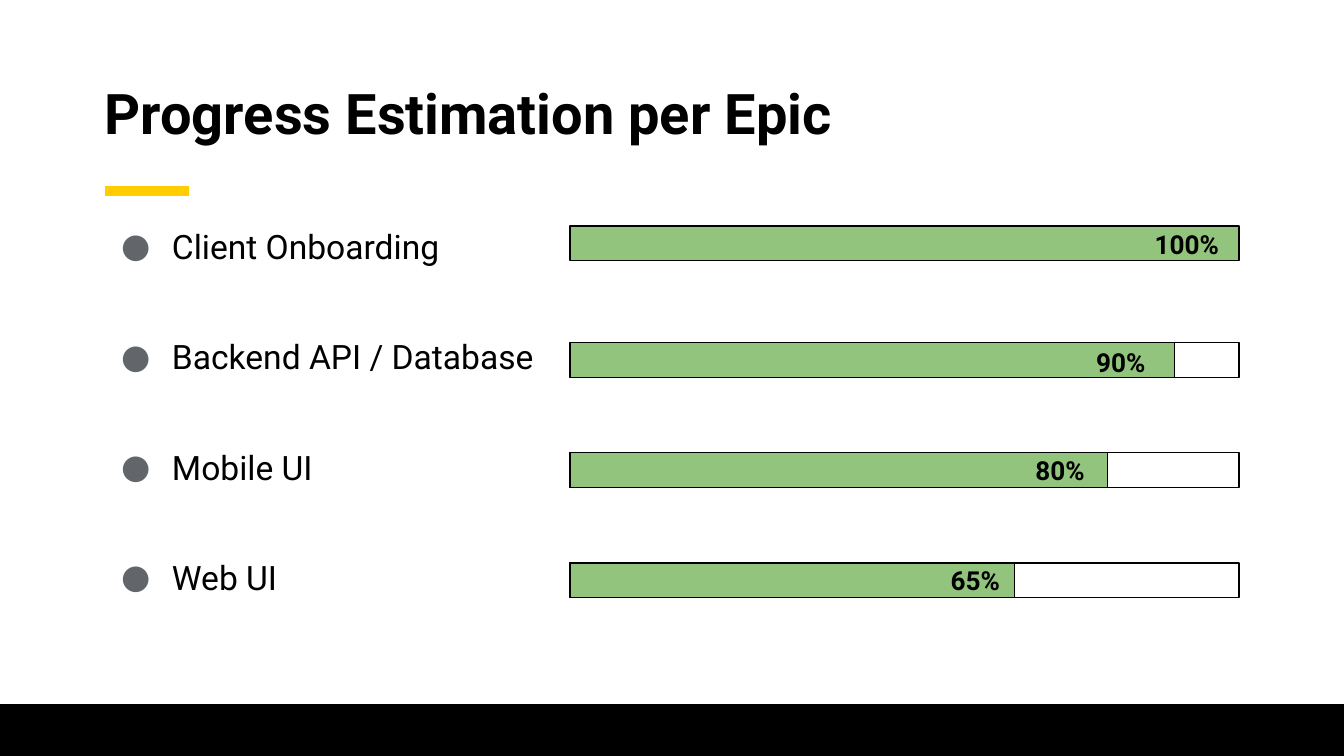
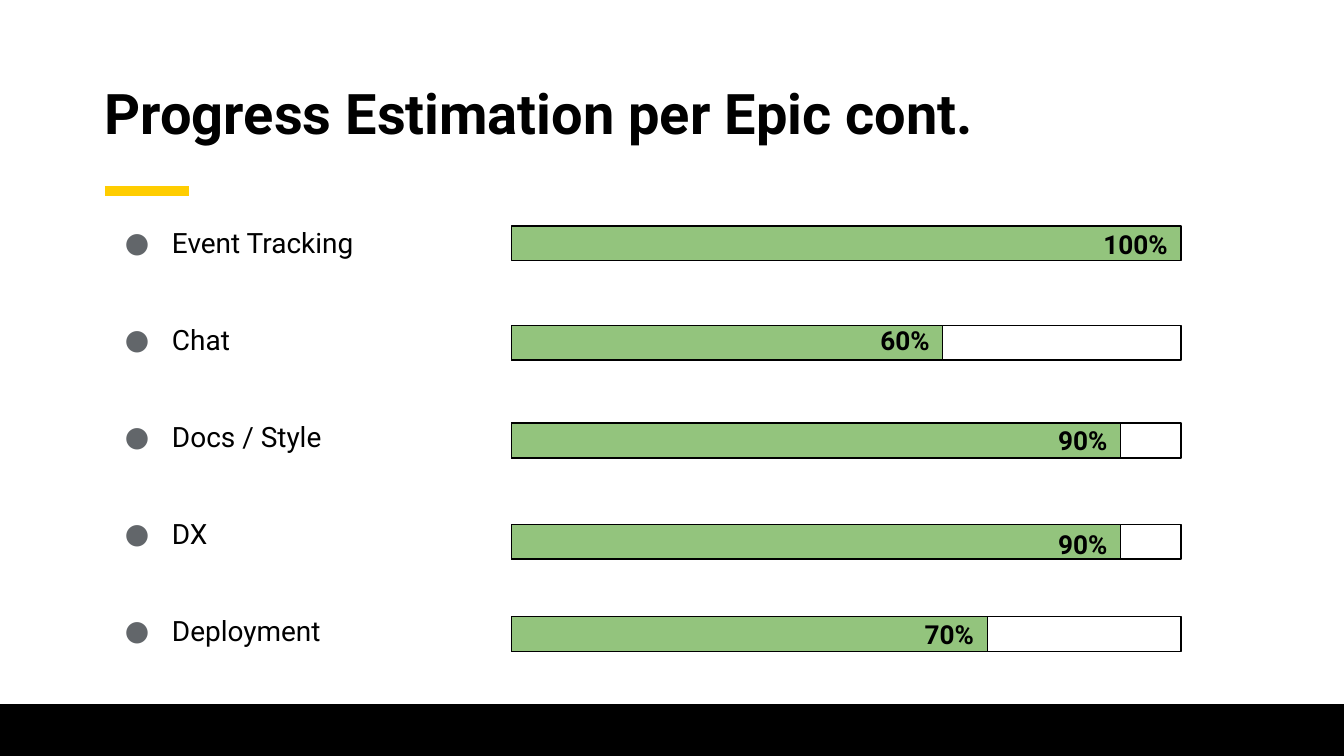
from typing import NamedTuple

from lxml import etree
from pptx import Presentation
from pptx import util as u
from pptx.dml.color import RGBColor
from pptx.enum import shapes, text
from pptx.oxml.ns import qn

BLACK = RGBColor(0x00, 0x00, 0x00)
WHITE = RGBColor(0xFF, 0xFF, 0xFF)
YELLOW = RGBColor(0xFF, 0xCD, 0x00)
GREEN = RGBColor(0x93, 0xC4, 0x7D)
GREY = RGBColor(0x62, 0x66, 0x6A)

FONT = "Roboto"
TITLE_FONT = {"name": FONT, "size": u.Pt(30), "bold": True}
LABEL_FONT = {"name": FONT, "size": u.Pt(14), "bold": True}
PLAIN_FRAME = {"margin_left": 0, "margin_top": 0, "margin_right": 0,
               "margin_bottom": 0, "word_wrap": True,
               "auto_size": text.MSO_AUTO_SIZE.NONE}
LABEL_FRAME = {side: u.Cm(0.25) for side in
               ("margin_left", "margin_top", "margin_right", "margin_bottom")}
LABEL_FRAME["word_wrap"] = True

# Lengths in centimetres
PAGE_WIDTH, PAGE_HEIGHT = 25.4, 14.29
LEFT, CONTENT_WIDTH = 1.98, 21.44
BAND_TOP = 13.31
TRACK_WIDTH, BAR_HEIGHT = 12.65, 0.66
LABEL_HEIGHT = 0.86


class Epic(NamedTuple):
    name: str
    percent: int
    top: float
    done: float            # length of the green part
    lift: float            # label top above the bar top
    gap: float = 0         # label right edge to the end of the green part
    label_width: float = 2.54


FIRST_EPICS = [
    Epic("Client Onboarding", 100, 4.27, TRACK_WIDTH, 0.21, 0.13),
    Epic("Backend API / Database", 90, 6.48, 11.43, 0.18, 0.3),
    Epic("Mobile UI", 80, 8.56, 10.16, 0.23, 0.18),
    Epic("Web UI", 65, 10.64, 8.41, 0.23, 0.03),
]
MORE_EPICS = [
    Epic("Event Tracking", 100, 4.27, TRACK_WIDTH, 0.21),
    Epic("Chat", 60, 6.15, 8.15, 0.26),
    Epic("Docs / Style", 90, 8.0, 11.51, 0.23),
    Epic("DX", 90, 9.91, 11.51, 0.18),
    Epic("Deployment", 70, 11.66, 8.99, 0.23, label_width=1.9),
]


def apply(target, values):
    for name, value in values.items():
        setattr(target, name, value)


def format_font(font, values):
    apply(font, values)
    font.color.rgb = BLACK


def place(shape, left, top, width, height):
    apply(shape, {"left": u.Cm(left), "top": u.Cm(top),
                  "width": u.Cm(width), "height": u.Cm(height)})


def add_rectangle(page, left, top, width, height, fill, outlined=True):
    box = page.shapes.add_shape(shapes.MSO_SHAPE.RECTANGLE, u.Cm(left),
                                u.Cm(top), u.Cm(width), u.Cm(height))
    box.shadow.inherit = False
    box.fill.solid()
    box.fill.fore_color.rgb = fill
    if outlined:
        box.line.color.rgb = BLACK
        box.line.width = u.Pt(0.75)
    else:
        box.line.fill.background()


def add_accent(page):
    accent = page.shapes.add_connector(
        shapes.MSO_CONNECTOR.STRAIGHT,
        u.Cm(LEFT), u.Cm(3.61), u.Cm(LEFT + 1.6), u.Cm(3.61))
    accent.line.color.rgb = YELLOW
    accent.line.width = u.Pt(5)
    properties = accent.element.find(qn("p:spPr"))
    etree.SubElement(properties, qn("a:effectLst"))


def add_bullet(para, indent):
    properties = para._p.get_or_add_pPr()
    properties.set("marL", str(u.Cm(1.27)))
    properties.set("indent", str(-u.Cm(indent)))
    colour = etree.SubElement(properties, qn("a:buClr"))
    etree.SubElement(colour, qn("a:srgbClr"), val=str(GREY))
    etree.SubElement(properties, qn("a:buFont"), typeface=FONT)
    etree.SubElement(properties, qn("a:buChar"), char="●")


def set_title(page, title):
    box = page.shapes.title
    place(box, LEFT, 0.81, CONTENT_WIDTH, 2.77)
    frame = box.text_frame
    apply(frame, PLAIN_FRAME)
    frame.vertical_anchor = text.MSO_ANCHOR.MIDDLE
    frame.text = title
    para = frame.paragraphs[0]
    apply(para, {"alignment": text.PP_ALIGN.LEFT, "line_spacing": 0.9})
    format_font(para.runs[0].font, TITLE_FONT)


def set_epic_names(page, epics, size, indent):
    box = page.placeholders[1]
    place(box, LEFT, 4.27, CONTENT_WIDTH, 8.1)
    frame = box.text_frame
    apply(frame, PLAIN_FRAME)
    frame.vertical_anchor = text.MSO_ANCHOR.TOP
    for index, epic in enumerate(epics):
        para = frame.add_paragraph() if index else frame.paragraphs[0]
        add_bullet(para, indent)
        # One line height plus 16 points separates the names
        para.space_before = u.Pt(16 + 1.2 * size if index else 0)
        span = para.add_run()
        span.text = epic.name
        format_font(span.font, {"name": FONT, "size": u.Pt(size)})


def add_progress_bar(page, left, epic):
    if epic.done < TRACK_WIDTH:
        add_rectangle(page, left, epic.top, TRACK_WIDTH, BAR_HEIGHT, WHITE)
    add_rectangle(page, left, epic.top, epic.done, BAR_HEIGHT, GREEN)


def add_percent_label(page, bar_left, epic):
    left = bar_left + epic.done - epic.gap - epic.label_width
    box = page.shapes.add_textbox(u.Cm(left), u.Cm(epic.top - epic.lift),
                                  u.Cm(epic.label_width), u.Cm(LABEL_HEIGHT))
    apply(box.text_frame, LABEL_FRAME)
    para = box.text_frame.paragraphs[0]
    para.alignment = text.PP_ALIGN.RIGHT
    span = para.add_run()
    span.text = f"{epic.percent}%"
    format_font(span.font, LABEL_FONT)


def add_progress_page(deck, title, epics, bar_left, size, indent):
    page = deck.slides.add_slide(deck.slide_layouts[1])
    # Shared accent and footer band
    add_accent(page)
    add_rectangle(page, 0, BAND_TOP, PAGE_WIDTH, PAGE_HEIGHT - BAND_TOP,
                  BLACK, outlined=False)
    # Title and list
    set_title(page, title)
    set_epic_names(page, epics, size, indent)
    # Progress bars with their percentages
    for epic in epics:
        add_progress_bar(page, bar_left, epic)
        add_percent_label(page, bar_left, epic)


def main():
    deck = Presentation()
    deck.slide_width = u.Cm(PAGE_WIDTH)
    deck.slide_height = u.Cm(PAGE_HEIGHT)
    add_progress_page(deck, "Progress Estimation per Epic", FIRST_EPICS,
                      bar_left=10.77, size=18, indent=0.96)
    add_progress_page(deck, "Progress Estimation per Epic cont.", MORE_EPICS,
                      bar_left=9.67, size=15, indent=0.89)
    deck.save("out.pptx")


if __name__ == "__main__":
    main()
